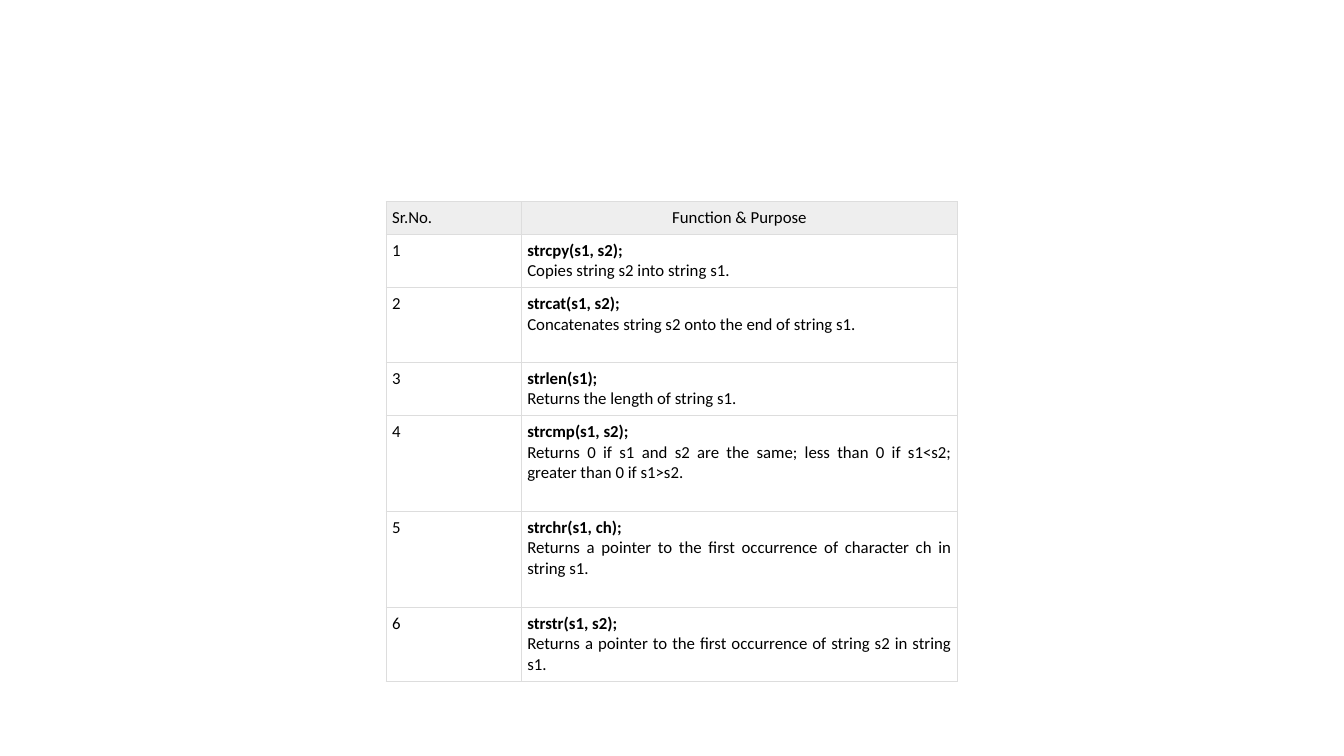
import pptx
import pptx.dml.color
import pptx.enum.text
import pptx.oxml.ns
import pptx.util
from lxml import etree

HEADINGS = ("Sr.No.", "Function & Purpose")
FUNCTIONS = [
    ("strcpy(s1, s2);", "Copies string s2 into string s1.", 0.53),
    ("strcat(s1, s2);", "Concatenates string s2 onto the end of string s1.", 0.74),
    ("strlen(s1);", "Returns the length of string s1.", 0.53),
    ("strcmp(s1, s2);", "Returns 0 if s1 and s2 are the same; less than 0 if s1<s2; greater than 0 if s1>s2.", 0.95),
    ("strchr(s1, ch);", "Returns a pointer to the first occurrence of character ch in string s1.", 0.95),
    ("strstr(s1, s2);", "Returns a pointer to the first occurrence of string s2 in string s1.", 0.74),
]
COLORS = {"text": "000000", "header": "EEEEEE", "border": "DDDDDD"}
FONT = "Calibri"
COLUMN_WIDTHS = (1.34, 4.33)
HEADER_HEIGHT = 0.32
LEFT, TOP = 3.83, 2
INSET = 0.06

Inches = pptx.util.Inches
Pt = pptx.util.Pt
ALIGN = pptx.enum.text.PP_ALIGN
qn = pptx.oxml.ns.qn


def rgb(name):
    return pptx.dml.color.RGBColor.from_string(COLORS[name])


def draw_borders(cell):
    properties = cell._tc.get_or_add_tcPr()
    for position, side in enumerate(("a:lnL", "a:lnR", "a:lnT", "a:lnB")):
        line = etree.Element(qn(side), w=str(Pt(0.75)))
        fill = etree.SubElement(line, qn("a:solidFill"))
        etree.SubElement(fill, qn("a:srgbClr"), val=COLORS["border"])
        properties.insert(position, line)


def fill_cell(cell, lines, align, header=False):
    cell.margin_left = cell.margin_right = Inches(INSET)
    cell.margin_top = cell.margin_bottom = Inches(INSET)
    if header:
        cell.fill.solid()
        cell.fill.fore_color.rgb = rgb("header")
    else:
        cell.fill.background()
    draw_borders(cell)
    for index, (text, bold) in enumerate(lines):
        frame = cell.text_frame
        para = frame.add_paragraph() if index else frame.paragraphs[0]
        para.alignment = align
        span = para.add_run()
        span.text = text
        span.font.name = FONT
        span.font.size = Pt(12)
        span.font.bold = bold
        span.font.color.rgb = rgb("text")


def main():
    deck = pptx.Presentation()
    deck.slide_width = Inches(13.33)
    deck.slide_height = Inches(7.5)
    page = deck.slides.add_slide(deck.slide_layouts[6])

    heights = [HEADER_HEIGHT] + [height for _, _, height in FUNCTIONS]
    table = page.shapes.add_table(
        len(heights), len(COLUMN_WIDTHS), Inches(LEFT), Inches(TOP),
        Inches(sum(COLUMN_WIDTHS)), Inches(sum(heights))).table
    table.horz_banding = False
    table.first_row = False
    for column, width in zip(table.columns, COLUMN_WIDTHS):
        column.width = Inches(width)
    for row, height in zip(table.rows, heights):
        row.height = Inches(height)

    for column, (heading, align) in enumerate(zip(HEADINGS, (ALIGN.LEFT, ALIGN.CENTER))):
        fill_cell(table.cell(0, column), [(heading, False)], align, header=True)
    for number, (call, purpose, _) in enumerate(FUNCTIONS, 1):
        fill_cell(table.cell(number, 0), [(str(number), False)], ALIGN.LEFT)
        fill_cell(table.cell(number, 1), [(call, True), (purpose, False)], ALIGN.JUSTIFY)

    deck.save("out.pptx")


if __name__ == "__main__":
    main()
